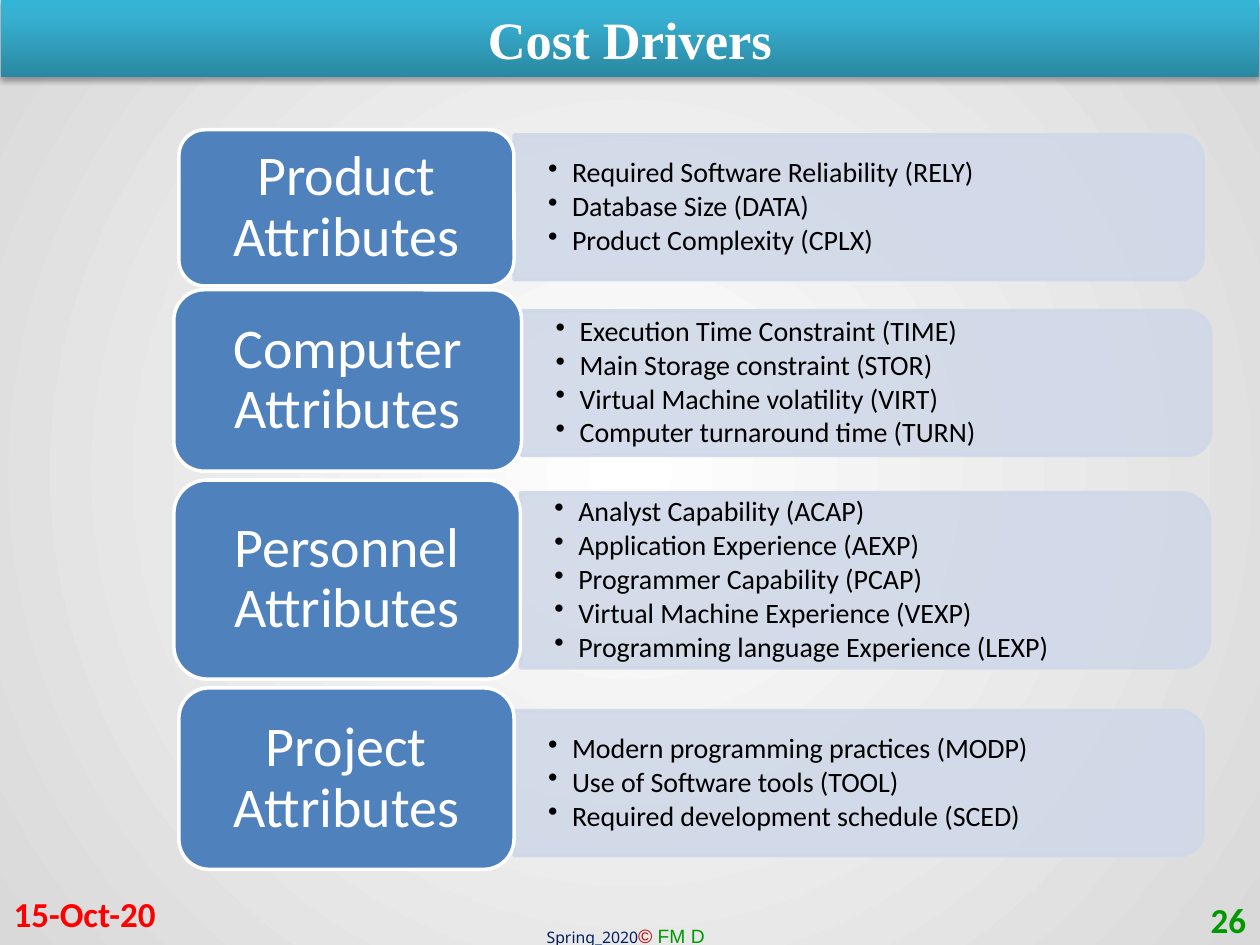
from dataclasses import dataclass

from lxml import etree
from pptx import Presentation, util as u
from pptx.dml.color import RGBColor
from pptx.enum import shapes, text
from pptx.oxml import ns

# Grid of 100 columns by 75 rows
CELL = u.Inches(0.1)
COLUMNS, ROWS = 100, 75

WHITE = RGBColor(0xFF, 0xFF, 0xFF)
BLACK = RGBColor(0x00, 0x00, 0x00)
GREY = RGBColor(0xD9, 0xD9, 0xD9)
LABEL_BLUE = RGBColor(0x4F, 0x81, 0xBD)
PANEL_BLUE = RGBColor(0xD0, 0xD8, 0xE8)
NAVY = RGBColor(0x00, 0x20, 0x60)
DARK_RED = RGBColor(0xC0, 0x00, 0x00)
RED = RGBColor(0xFF, 0x00, 0x00)
GREEN = RGBColor(0x00, 0x99, 0x00)
TEAL_STOPS = [(0, RGBColor(0x2A, 0x88, 0xA2)), (80, RGBColor(0x37, 0xB1, 0xD2)),
              (100, RGBColor(0x34, 0xB4, 0xD6))]

PANEL_WIDTH = 54.7
TEXT_WIDTH = 54.2
LEFT, CENTER, RIGHT = text.PP_ALIGN.LEFT, text.PP_ALIGN.CENTER, text.PP_ALIGN.RIGHT


@dataclass
class Driver:
    """One row; lengths are in grid cells, and the panel starts where the label ends."""
    name: str
    label_left: float
    label_top: float
    label_width: float
    label_height: float
    panel_middle: float
    panel_height: float
    items: list[str]


DRIVERS = [
    Driver("Product Attributes", 14.2, 10.3, 26.6, 12.4, 16.45, 11.5,
           ["Required Software Reliability (RELY)", "Database Size (DATA)",
            "Product Complexity (CPLX)"]),
    Driver("Computer Attributes", 13.8, 23, 27.6, 14.4, 30.4, 11.5,
           ["Execution Time Constraint (TIME)", "Main Storage constraint (STOR)",
            "Virtual Machine volatility (VIRT)", "Computer turnaround time (TURN)"]),
    Driver("Personnel Attributes", 13.8, 38.1, 27.5, 15.8, 46.05, 13.9,
           ["Analyst Capability (ACAP)", "Application Experience (AEXP)",
            "Programmer Capability (PCAP)", "Virtual Machine Experience (VEXP)",
            "Programming language Experience (LEXP)"]),
    Driver("Project Attributes", 14.2, 54.6, 26.6, 14.4, 62.15, 11.5,
           ["Modern programming practices (MODP)", "Use of Software tools (TOOL)",
            "Required development schedule (SCED)"]),
]


def cells(*lengths: float) -> list[int]:
    return [round(length * CELL) for length in lengths]


def apply(target, **values) -> None:
    for name, value in values.items():
        setattr(target, name, value)


def child(parent, tag: str, **attributes):
    element = etree.SubElement(parent, ns.qn(tag))
    for name, value in attributes.items():
        element.set(name, str(value))
    return element


def set_gradient(owner, fill, stops: list[tuple[int, RGBColor]]):
    """Give the fill these stops and return its element, still without a direction."""
    fill.gradient()
    gradient = next(owner.iter(ns.qn("a:gradFill")))
    for part in list(gradient):
        gradient.remove(part)
    stop_list = child(gradient, "a:gsLst")
    for position, color in stops:
        stop = child(stop_list, "a:gs", pos=position * 1000)
        child(stop, "a:srgbClr", val=color)
    return gradient


def set_frame(frame, margins: tuple[float, float] = (1, 0.5), wrap: bool = True) -> None:
    across, down = cells(*margins)
    apply(frame, word_wrap=wrap, vertical_anchor=text.MSO_ANCHOR.MIDDLE,
          margin_left=across, margin_right=across, margin_top=down, margin_bottom=down)


def add_run(paragraph, words: str, color: RGBColor, size: float,
            name: str = "Calibri", **styles) -> None:
    run = paragraph.add_run()
    run.text = words
    apply(run.font, size=u.Pt(size), name=name, **styles)
    run.font.color.rgb = color


def add_shape(slide, kind, box: list[int], fill: RGBColor | None = None,
              line: RGBColor | None = None):
    shape = slide.shapes.add_shape(kind, *box)
    if fill is not None:
        shape.fill.solid()
        shape.fill.fore_color.rgb = fill
    if line is None:
        shape.line.fill.background()
    else:
        shape.line.color.rgb = line
        shape.line.width = u.Pt(2)
    shape.shadow.inherit = False
    return shape


def add_panel(slide, driver: Driver) -> None:
    """Draw a top-rounded shape turned so that its round corners face right."""
    height = driver.panel_height
    center = driver.label_left + driver.label_width + PANEL_WIDTH / 2
    box = cells(center - height / 2, driver.panel_middle - PANEL_WIDTH / 2,
                height, PANEL_WIDTH)
    panel = add_shape(slide, shapes.MSO_SHAPE.ROUND_2_SAME_RECTANGLE, box,
                      PANEL_BLUE, PANEL_BLUE)
    panel.rotation = 90
    for color in panel._element.spPr.iter(ns.qn("a:srgbClr")):
        child(color, "a:alpha", val=90000)


def add_items(slide, driver: Driver) -> None:
    height = driver.panel_height * 0.9
    box = slide.shapes.add_textbox(*cells(
        driver.label_left + driver.label_width, driver.panel_middle - height / 2,
        TEXT_WIDTH, height))
    frame = box.text_frame
    set_frame(frame, (2.7, 1.4))
    for index, item in enumerate(driver.items):
        paragraph = frame.add_paragraph() if index else frame.paragraphs[0]
        properties = paragraph._p.get_or_add_pPr()
        indent = u.Inches(0.19)
        apply_indent = {"marL": indent, "indent": -indent}
        for name, value in apply_indent.items():
            properties.set(name, str(value))
        child(properties, "a:buChar", char="•")
        apply(paragraph, line_spacing=0.9, space_after=u.Pt(2.1))
        add_run(paragraph, item, BLACK, 16)


def add_label(slide, driver: Driver) -> None:
    box = cells(driver.label_left, driver.label_top, driver.label_width, driver.label_height)
    label = add_shape(slide, shapes.MSO_SHAPE.ROUNDED_RECTANGLE, box, LABEL_BLUE, WHITE)
    set_frame(label.text_frame, (1.3, 0.7))
    paragraph = label.text_frame.paragraphs[0]
    apply(paragraph, alignment=CENTER, line_spacing=0.9)
    add_run(paragraph, driver.name, WHITE, 32)


def add_title(slide, words: str) -> None:
    banner = add_shape(slide, shapes.MSO_SHAPE.RECTANGLE, cells(0.1, 0, COLUMNS - 0.2, 6.1))
    gradient = set_gradient(banner._element.spPr, banner.fill, TEAL_STOPS)
    child(gradient, "a:lin", ang=270 * 60000, scaled=0)
    effects = banner._element.spPr.find(ns.qn("a:effectLst"))
    shadow = child(effects, "a:outerShdw", blurRad=u.Pt(3.1), dist=u.Pt(1.8),
                   dir=90 * 60000, rotWithShape=0)
    child(child(shadow, "a:srgbClr", val=BLACK), "a:alpha", val=35000)
    set_frame(banner.text_frame)
    paragraph = banner.text_frame.paragraphs[0]
    paragraph.alignment = CENTER
    add_run(paragraph, words, WHITE, 30, "Times New Roman", bold=True)


def add_note(slide, box: list[int], alignment=LEFT, wrap: bool = True):
    frame = slide.shapes.add_textbox(*box).text_frame
    set_frame(frame, wrap=wrap)
    frame.paragraphs[0].alignment = alignment
    return frame.paragraphs[0]


def main() -> None:
    presentation = Presentation()
    apply(presentation, slide_width=COLUMNS * CELL, slide_height=ROWS * CELL)
    slide = presentation.slides.add_slide(presentation.slide_layouts[6])

    gradient = set_gradient(slide._element, slide.background.fill, [(0, WHITE), (100, GREY)])
    circle = child(gradient, "a:path", path="circle")
    child(circle, "a:fillToRect", l=50000, t=50000, r=50000, b=50000)

    footer = add_note(slide, cells(42.4, 72.8, 15.1, 2.9), wrap=False)
    add_run(footer, "Spring_2020", NAVY, 9, "Noto Sans")
    add_run(footer, "© ", DARK_RED, 11, "Arial", italic=True)
    add_run(footer, "FM D", GREEN, 11, "Arial")

    for driver in DRIVERS:
        add_panel(slide, driver)
        add_items(slide, driver)
        add_label(slide, driver)

    add_title(slide, "Cost Drivers")
    add_run(add_note(slide, cells(0.1, 70.5, 23.3, 4)), "15-Oct-20", RED, 20, bold=True)
    add_run(add_note(slide, cells(76.6, 71, 23.3, 4), RIGHT), "26", GREEN, 20, bold=True)
    presentation.save("out.pptx")


if __name__ == "__main__":
    main()
